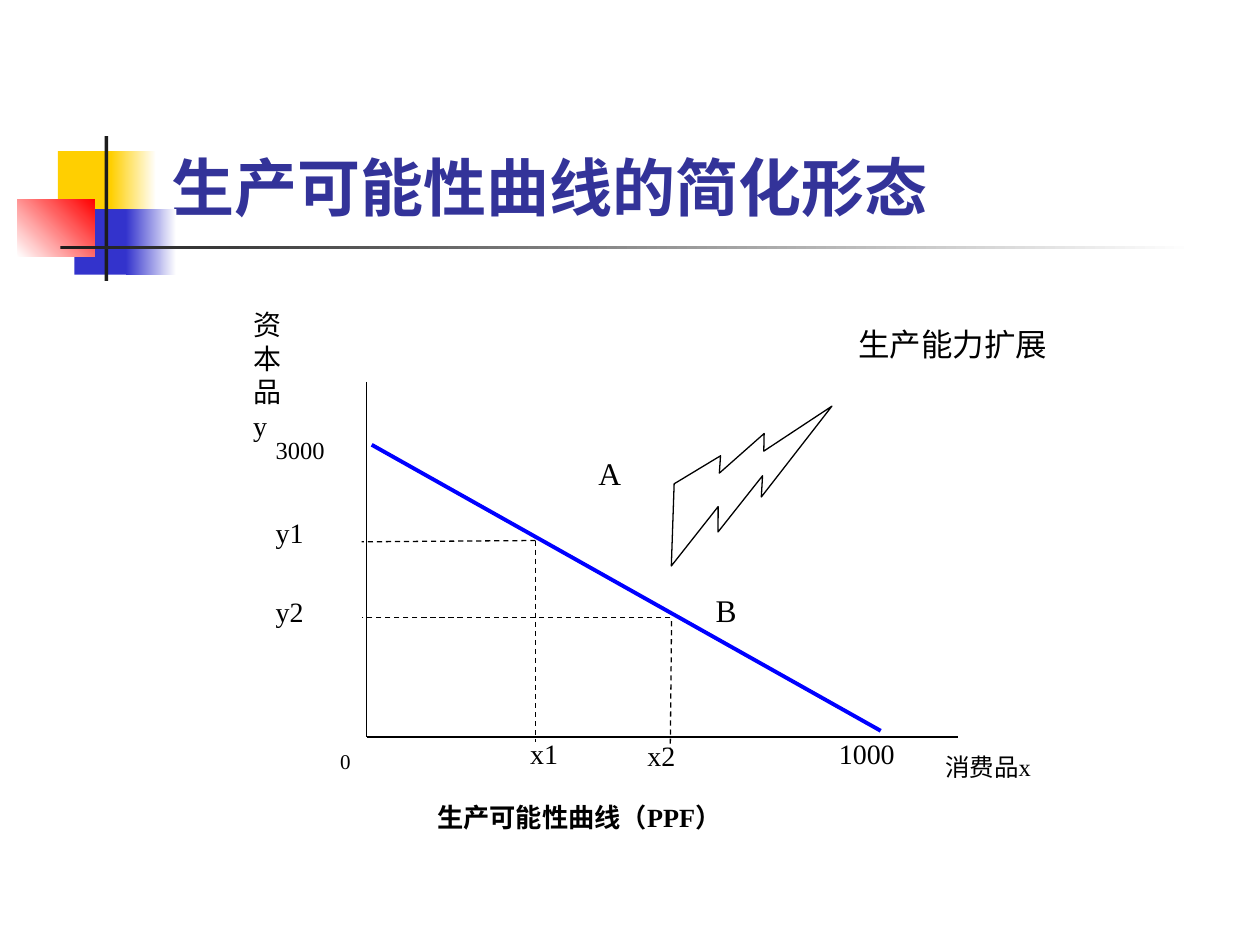
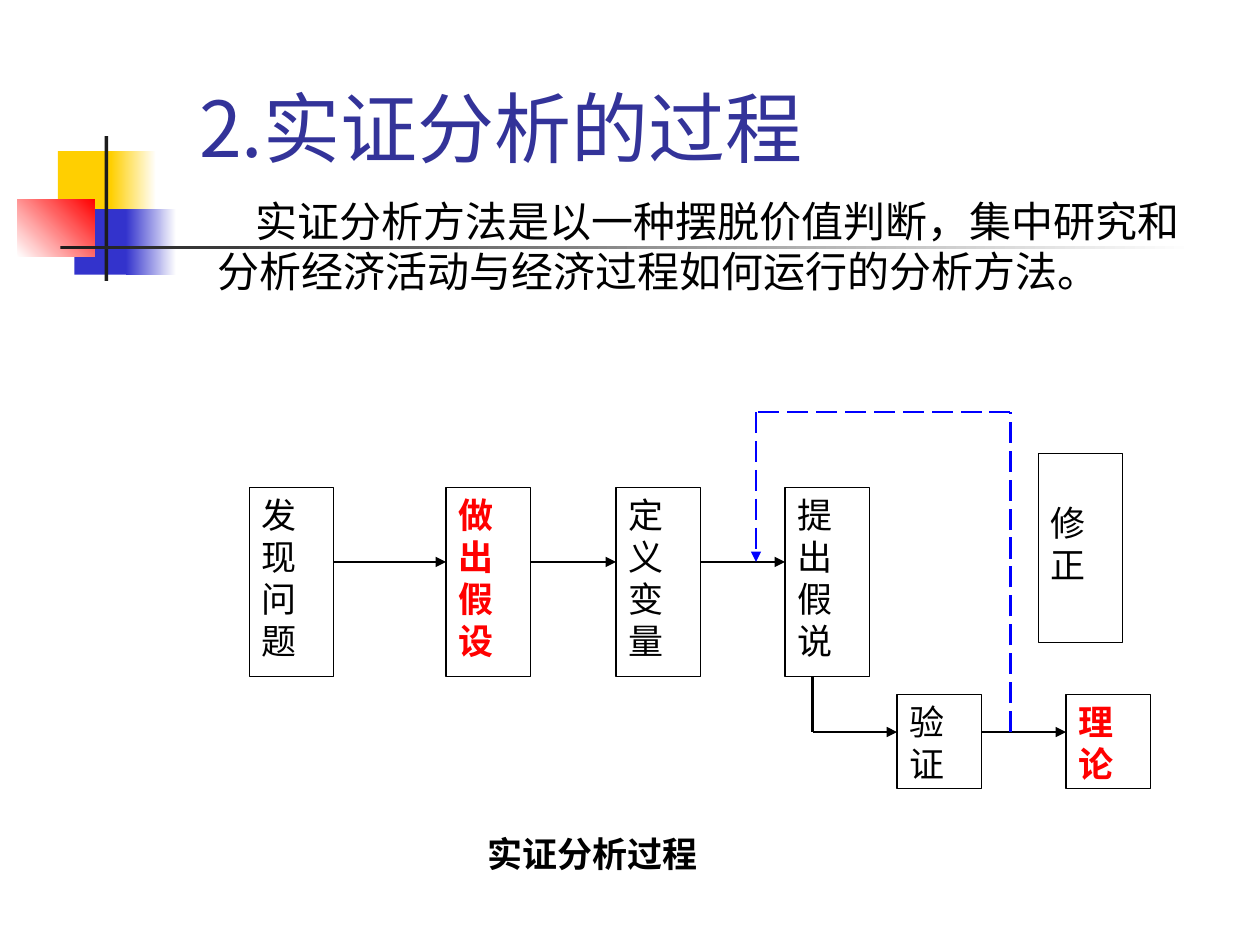
from dataclasses import dataclass
from typing import Any

from lxml.etree import SubElement
from pptx import Presentation
from pptx.dml.color import RGBColor
from pptx.enum.dml import MSO_LINE
from pptx.enum.shapes import MSO_CONNECTOR, MSO_SHAPE
from pptx.enum.text import MSO_ANCHOR, MSO_AUTO_SIZE, PP_ALIGN
from pptx.oxml.ns import qn
from pptx.util import Pt

PX = 9144
BLACK, WHITE, BLUE, RED = "000000", "FFFFFF", "0000FF", "FF0000"
GOLD, INDIGO, DARK, NAVY = "FFCF01", "3333CC", "1C1C1C", "333399"
SERIF, SANS, HAN = "Times New Roman", "Roboto", "Noto Sans CJK SC"


def px(*sizes):
    """Turn whole px, 100 to the inch, into EMU."""
    return [size * PX for size in sizes]


def rgb(code):
    """Turn a hex string into a colour."""
    return RGBColor.from_string(code)


def write(frame, text, size, font=SERIF, color=BLACK, bold=False,
          align=PP_ALIGN.JUSTIFY, anchor=MSO_ANCHOR.TOP, pad=(10, 5)):
    """Fill a text frame with evenly formatted paragraphs."""
    frame.text = text
    frame.word_wrap = True
    frame.auto_size = MSO_AUTO_SIZE.NONE
    frame.vertical_anchor = anchor
    frame.margin_left, frame.margin_top = px(*pad)
    frame.margin_right, frame.margin_bottom = px(*pad)
    for para in frame.paragraphs:
        para.alignment = align
        face = para.font
        face.name, face.size, face.bold = font, Pt(size), bold
        face.color.rgb = rgb(color)
        east = HAN if font == HAN else SANS
        SubElement(face._element, qn("a:ea"), typeface=east)


@dataclass
class Pane:
    """A region of a slide whose parts are placed from its corner."""
    slide: Any
    left: int
    top: int

    def spot(self, x, y):
        """Give the slide position of a point in the pane."""
        return px(self.left + x, self.top + y)

    def shape(self, x, y, w, h, fill=WHITE, edge=None, kind=MSO_SHAPE.RECTANGLE):
        """Add a plain preset shape."""
        item = self.slide.shapes.add_shape(kind, *self.spot(x, y), *px(w, h))
        item.shadow.inherit = False
        item.fill.solid()
        item.fill.fore_color.rgb = rgb(fill)
        if edge:
            item.line.color.rgb = rgb(edge)
            item.line.width = Pt(0.75)
        else:
            item.line.fill.background()
        return item

    def fade(self, x, y, w, h, start, end=WHITE, angle=0):
        """Add a rectangle that fades between two colours."""
        fill = self.shape(x, y, w, h).fill
        fill.gradient()
        fill.gradient_angle = angle
        for stop, code in zip(fill.gradient_stops, (start, end)):
            stop.color.rgb = rgb(code)

    def text(self, x, y, w, h, text, size, **style):
        """Add a clear text box."""
        item = self.slide.shapes.add_textbox(*self.spot(x, y), *px(w, h))
        write(item.text_frame, text, size, **style)
        return item

    def line(self, x1, y1, x2, y2, color=BLACK, width=0.75, dash=None, arrow=False):
        """Add a straight line, with an arrowhead if wanted."""
        item = self.slide.shapes.add_connector(
            MSO_CONNECTOR.STRAIGHT, *self.spot(x1, y1), *self.spot(x2, y2))
        item.line.color.rgb = rgb(color)
        item.line.width = Pt(width)
        if dash:
            item.line.dash_style = dash
        if arrow:
            SubElement(item.line._get_or_add_ln(), qn("a:tailEnd"), type="triangle")
        SubElement(item._element.spPr, qn("a:effectLst"))


def crest(pane):
    """Draw the coloured blocks and crossing bars."""
    pane.shape(32, 12, 48, 52, GOLD)
    pane.fade(74, 12, 36, 52, GOLD)
    pane.shape(45, 58, 46, 52, INDIGO)
    pane.fade(86, 58, 40, 52, INDIGO)
    pane.fade(0, 50, 61, 46, WHITE, RED, 45)
    pane.shape(69, 0, 3, 115, DARK)
    pane.fade(34, 87, 900, 3, DARK)


def start(deck, box, text, size, bold=False):
    """Add a slide with the crest and a title in the given box."""
    slide = deck.slides.add_slide(deck.slide_layouts[5])
    crest(Pane(slide, 14, 108))
    title = slide.shapes.title
    title.left, title.top, title.width, title.height = px(*box)
    write(title.text_frame, text, size, SANS, NAVY, bold,
          PP_ALIGN.LEFT, MSO_ANCHOR.BOTTOM)
    return slide


def graph(pane):
    """Draw the production frontier with its axes and labels."""
    pane.line(97, 63, 97, 345)
    pane.line(97, 345, 566, 345)
    for ends in ((231, 189, 231, 349), (231, 189, 93, 190),
                 (339, 253, 338, 354), (338, 250, 93, 250)):
        pane.line(*ends, dash=MSO_LINE.DASH)
    plates = (
        (69, 350, 34, 44, "0", 12),
        (549, 353, 108, 47, "消费品x", 14),
        (0, 0, 74, 102, "资\n本\n品\ny", 16),
        (274, 116, 74, 47, "A", 18),
        (367, 225, 52, 47, "B", 18),
        (480, 14, 247, 40, "生产能力扩展", 18),
        (146, 392, 346, 47, "生产可能性曲线（PPF）", 15),
    )
    for x, y, w, h, text, size in plates:
        plate = pane.shape(x, y, w, h)
        write(plate.text_frame, text, size, bold=size == 15, pad=(7, 4))
    bolt = pane.shape(314, 93, 160, 100, edge=BLACK, kind=MSO_SHAPE.LIGHTNING_BOLT)
    bolt.rotation = 288
    marks = (
        (15, 100, "3000", 14), (462, 340, "1000", 16),
        (310, 341, "x2", 16), (217, 340, "x1", 16),
        (15, 164, "y1", 16), (15, 227, "y2", 16),
    )
    for x, y, text, size in marks:
        pane.text(x, y, 86, 44, text, size)
    pane.line(101, 113, 505, 340, BLUE, 2.25)


def flow(pane):
    """Draw the steps of the analysis and the loop back."""
    wide, tall, low = 67, 150, 75
    main, base = 119, 254
    steps = (
        (0, 60, tall, "发现问题", False),
        (156, 60, tall, "做出假设", True),
        (291, 60, tall, "定义变量", False),
        (425, 60, tall, "提出假说", False),
        (514, 224, low, "验证", False),
        (648, 224, low, "理论", True),
        (626, 33, tall, "修正", False),
    )
    for x, y, h, text, key in steps:
        box = pane.shape(x, y, wide, h, edge=BLACK)
        write(box.text_frame, text, 20, color=RED if key else BLACK, bold=key)
    box.text_frame.margin_top, = px(38)

    for first, last in zip(steps[:3], steps[1:4]):
        pane.line(first[0] + wide, main, last[0], main, width=1.5, arrow=True)
    pane.line(447, 210, 447, base, width=1.5)
    pane.line(447, base, 514, base, width=1.5, arrow=True)
    pane.line(514 + wide, base, 648, base, width=1.5, arrow=True)

    loop = ((604, base), (604, 0), (402, 0), (402, main))
    for first, last in zip(loop, loop[1:]):
        pane.line(*first, *last, BLUE, 1.5, MSO_LINE.LONG_DASH, last == loop[-1])
    note = pane.shape(179, 329, 246, 45)
    write(note.text_frame, "实证分析过程", 20, HAN, bold=True)


def intro(pane):
    """Write the paragraph that explains the method."""
    text = "实证分析方法是以一种摆脱价值判断，集中研究和分析经济活动与经济过程如何运行的分析方法。"
    box = pane.text(0, 0, 850, 125, text, 24, font=SANS, align=PP_ALIGN.LEFT)
    para = box.text_frame.paragraphs[0]
    para.space_before = Pt(3)
    inset, lead = px(38, 30)
    props = para._p.get_or_add_pPr()
    props.set("marL", str(inset))
    props.set("indent", str(lead))


def main():
    """Build both slides and save them."""
    deck = Presentation()
    deck.slide_width, deck.slide_height = px(1000, 750)

    slide = start(deck, (126, 83, 852, 100), "生产可能性曲线的简化形态", 36, True)
    graph(Pane(slide, 194, 240))

    slide = start(deck, (148, 50, 769, 92), "2.", 44)
    para = slide.shapes.title.text_frame.paragraphs[0]
    para.runs[0].font.name = HAN
    para.add_run().text = "实证分析的过程"
    intro(Pane(slide, 125, 150))
    flow(Pane(slide, 198, 327))

    deck.save("out.pptx")


if __name__ == "__main__":
    main()
